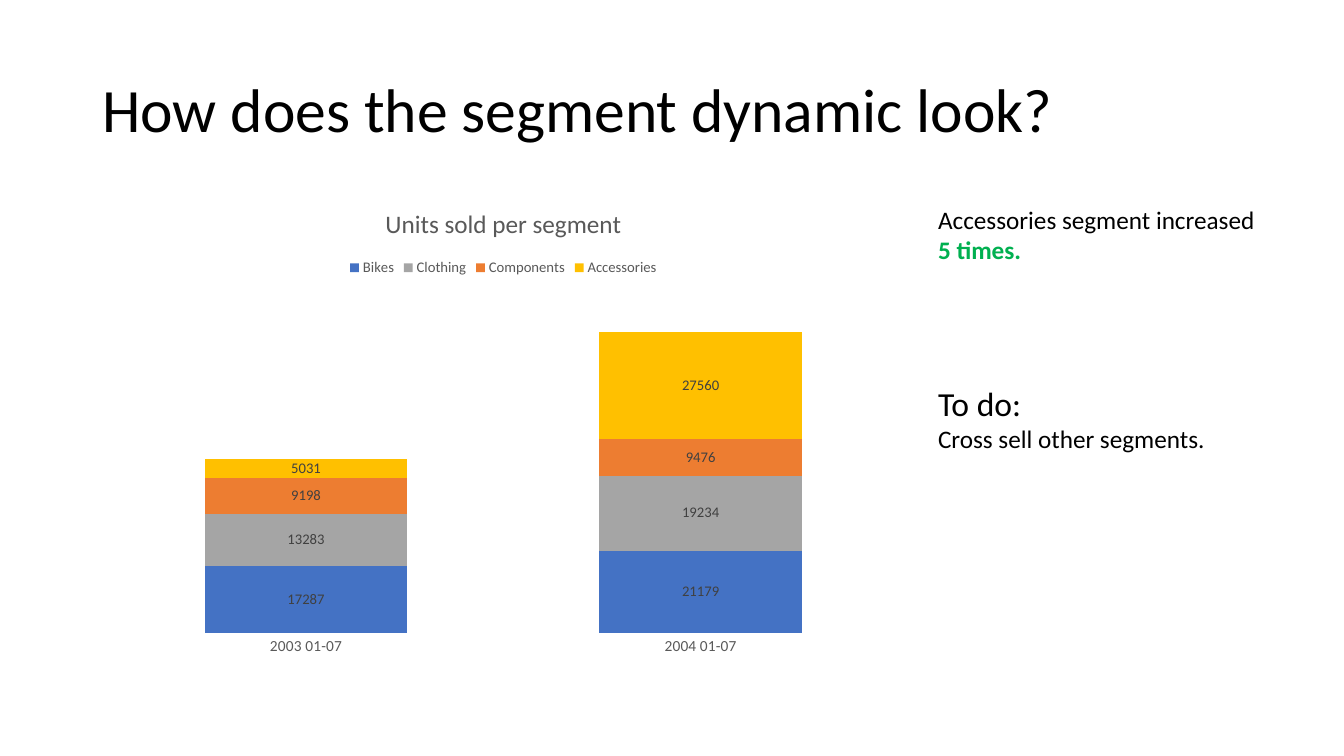
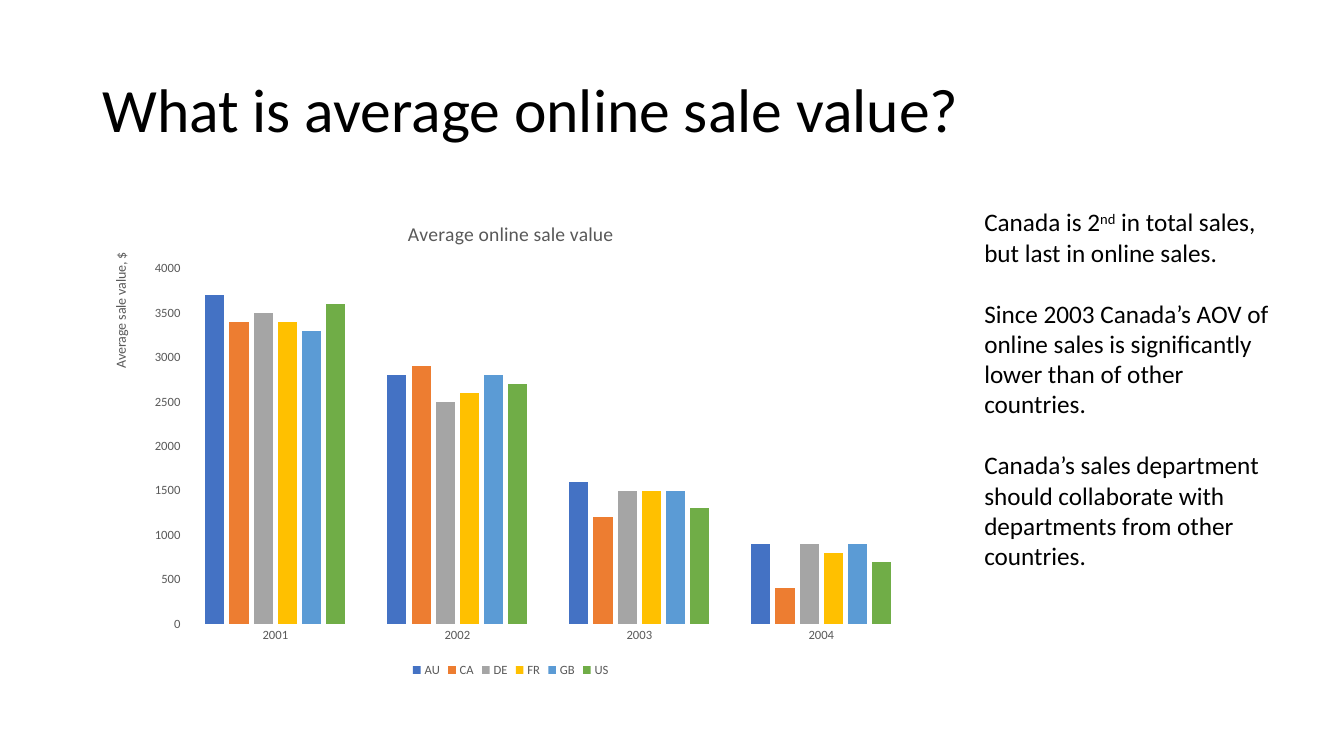
from lxml.etree import SubElement
from pptx import Presentation
from pptx.chart.data import CategoryChartData
from pptx.dml.color import RGBColor
from pptx.enum.chart import XL_CHART_TYPE as ChartType
from pptx.enum.chart import XL_LABEL_POSITION as LabelPosition
from pptx.enum.chart import XL_LEGEND_POSITION as LegendPosition
from pptx.enum.chart import XL_TICK_MARK as TickMark
from pptx.enum.text import MSO_ANCHOR as Anchor
from pptx.oxml.ns import qn
from pptx.util import Pt

PX = 9525  # 96 px to the inch
FONT = "Calibri"
BLACK = RGBColor(0x00, 0x00, 0x00)
LABEL_GREY = RGBColor(0x40, 0x40, 0x40)
TEXT_GREY = RGBColor(0x59, 0x59, 0x59)
HIGHLIGHT = RGBColor(0x00, 0xB0, 0x50)
BLUE = RGBColor(0x44, 0x72, 0xC4)
ORANGE = RGBColor(0xED, 0x7D, 0x31)
GREY = RGBColor(0xA5, 0xA5, 0xA5)
YELLOW = RGBColor(0xFF, 0xC0, 0x00)
LIGHT_BLUE = RGBColor(0x5B, 0x9B, 0xD5)
GREEN = RGBColor(0x70, 0xAD, 0x47)


def add_text(slide, box, paragraphs):
    """Add a text box; each paragraph is (runs, size, space before)."""
    shape = slide.shapes.add_textbox(*(length * PX for length in box))
    frame = shape.text_frame
    frame.word_wrap = True
    for index, (texts, size, space) in enumerate(paragraphs):
        paragraph = frame.add_paragraph() if index else frame.paragraphs[0]
        paragraph.font.name, paragraph.font.size = FONT, Pt(size)
        paragraph.font.color.rgb = BLACK
        paragraph.space_before = Pt(space)
        for text in texts:
            run = paragraph.add_run()
            run.text = text
            run.font.name, run.font.size = FONT, Pt(size)
    return frame


def set_layout(element, **fractions):
    """Place a chart part by fractions of the chart's size."""
    layout = element.find(qn("c:layout"))
    if layout is None:
        layout = SubElement(element, qn("c:layout"))
        element.insert(0, layout)
    for child in list(layout):
        layout.remove(child)
    manual = SubElement(layout, qn("c:manualLayout"))
    if "w" in fractions:
        SubElement(manual, qn("c:layoutTarget")).set("val", "inner")
    for side in ("xMode", "yMode"):
        SubElement(manual, qn(f"c:{side}")).set("val", "edge")
    for name, fraction in fractions.items():
        SubElement(manual, qn(f"c:{name}")).set("val", str(fraction))


presentation = Presentation()
presentation.slide_width, presentation.slide_height = 1280 * PX, 720 * PX

pages = [
    dict(
        title="How does the segment dynamic look?",
        chart_title="Units sold per segment", title_size=18,
        kind=ChartType.COLUMN_STACKED, box=(88, 178, 783, 457),
        plot=dict(x=0.02, y=0.2, w=0.96, h=0.73),
        gap=95, overlap=100, maximum=90000, step=10000,
        legend=LegendPosition.TOP, legend_size=10.5, axis_size=11,
        categories=["2003 01-07", "2004 01-07"],
        series=[
            ("Bikes", BLUE, (17287, 21179)),
            ("Clothing", GREY, (13283, 19234)),
            ("Components", ORANGE, (9198, 9476)),
            ("Accessories", YELLOW, (5031, 27560)),
        ],
    ),
    dict(
        title="What is average online sale value?",
        chart_title="Average online sale value", title_size=14,
        kind=ChartType.COLUMN_CLUSTERED, box=(88, 192, 797, 457),
        plot=dict(x=0.11, y=0.14, w=0.87, h=0.74),
        gap=219, overlap=-27, maximum=4000, step=500,
        legend=LegendPosition.BOTTOM, legend_size=9, axis_size=9,
        categories=["2001", "2002", "2003", "2004"],
        series=[
            ("AU", BLUE, (3700, 2800, 1600, 900)),
            ("CA", ORANGE, (3400, 2900, 1200, 400)),
            ("DE", GREY, (3500, 2500, 1500, 900)),
            ("FR", YELLOW, (3400, 2600, 1500, 800)),
            ("GB", LIGHT_BLUE, (3300, 2800, 1500, 900)),
            ("US", GREEN, (3600, 2700, 1300, 700)),
        ],
    ),
]

# Title and chart of each slide
slides, charts = [], []
for page in pages:
    slide = presentation.slides.add_slide(presentation.slide_layouts[6])
    slides.append(slide)
    title = add_text(slide, (88, 38, 1104, 139), [([page["title"]], 44, 0)])
    title.vertical_anchor = Anchor.MIDDLE
    title.paragraphs[0].line_spacing = 0.9

    data = CategoryChartData()
    data.categories = page["categories"]
    for name, color, values in page["series"]:
        data.add_series(name, values)
    box = (length * PX for length in page["box"])
    chart = slide.shapes.add_chart(page["kind"], *box, data).chart
    charts.append(chart)
    chart.font.name, chart.font.size = FONT, Pt(10)
    chart.font.color.rgb = BLACK

    # Chart title and legend
    chart.has_title = True
    heading = chart.chart_title.text_frame.paragraphs[0]
    heading.text = page["chart_title"]
    chart.has_legend = True
    chart.legend.position = page["legend"]
    chart.legend.include_in_layout = False

    # Axes
    category_axis, value_axis = chart.category_axis, chart.value_axis
    value_axis.has_major_gridlines = False
    value_axis.minimum_scale, value_axis.maximum_scale = 0, page["maximum"]
    value_axis.major_unit = page["step"]
    for axis in (category_axis, value_axis):
        axis.major_tick_mark = axis.minor_tick_mark = TickMark.NONE
        axis.format.line.fill.background()

    grey_fonts = [
        (heading.font, page["title_size"]),
        (chart.legend.font, page["legend_size"]),
        (category_axis.tick_labels.font, page["axis_size"]),
        (value_axis.tick_labels.font, page["axis_size"]),
    ]
    for font, size in grey_fonts:
        font.name, font.size, font.bold = FONT, Pt(size), False
        font.color.rgb = TEXT_GREY

    # Columns
    plot = chart.plots[0]
    plot.gap_width, plot.overlap = page["gap"], page["overlap"]
    plot.vary_by_categories = False
    for series, (name, color, values) in zip(plot.series, page["series"]):
        series.format.fill.solid()
        series.format.fill.fore_color.rgb = color
    set_layout(value_axis._element.getparent(), **page["plot"])

segment_slide, online_slide = slides
segment_chart, online_chart = charts

# Segment chart: values inside the columns, no value axis
segment_chart.value_axis.visible = False
for series in segment_chart.plots[0].series:
    labels = series.data_labels
    labels.show_value = True
    labels.position = LabelPosition.CENTER
    labels.font.name, labels.font.size = FONT, Pt(10.5)
    labels.font.color.rgb = LABEL_GREY

# Segment findings
finding = add_text(segment_slide, (884, 190, 327, 68),
                   [(["Accessories segment increased ", "5 times."], 18, 0)])
increase = finding.paragraphs[0].runs[1]
increase.font.bold = True
increase.font.color.rgb = HIGHLIGHT
add_text(segment_slide, (884, 360, 327, 78),
         [(["To do:"], 24, 0), (["Cross sell other segments."], 18, 0)])

# Online sales chart: value axis title at the top
axis_title = online_chart.value_axis.axis_title
caption = axis_title.text_frame.paragraphs[0]
caption.text = "Average sale value, $"
caption.font.name, caption.font.size, caption.font.bold = FONT, Pt(10), False
caption.font.color.rgb = TEXT_GREY
axis_title.text_frame._txBody.bodyPr.set("rot", "-5400000")
axis_title.text_frame._txBody.bodyPr.set("vert", "horz")
set_layout(axis_title._element, x=0.02, y=0.1)

# Online sales findings
findings = add_text(online_slide, (928, 192, 300, 359), [
    (["Canada is 2", "nd", " in total sales, but last in online sales."], 18, 0),
    (["Since 2003 Canada’s AOV of online sales is significantly lower "
      "than of other countries."], 18, 22),
    (["Canada’s sales department should collaborate with departments "
      "from other countries."], 18, 22),
])
ordinal = findings.paragraphs[0].runs[1]
ordinal._r.get_or_add_rPr().set("baseline", "30000")

presentation.save("out.pptx")
